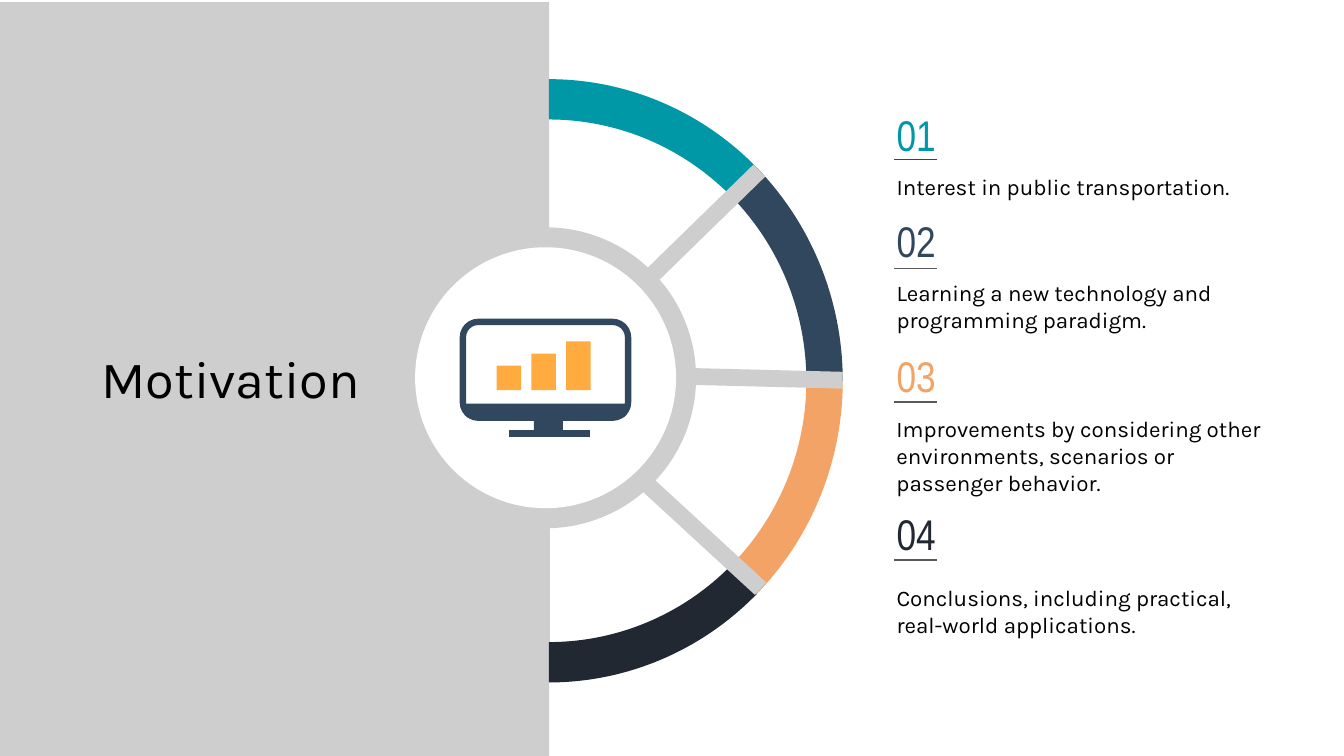
from math import cos, sin, tan, radians
from pptx import Presentation
from pptx.dml.color import RGBColor
from pptx.enum import shapes, text
from pptx.oxml.ns import qn
from pptx.util import Pt
from lxml import etree

GREY, NAVY, GOLD, WHITE = "CECECE", "30475E", "FFAB40", "FFFFFF"
KIND = shapes.MSO_SHAPE
MID = text.MSO_ANCHOR.MIDDLE
TOP = text.MSO_ANCHOR.TOP

ITEMS = [
    ("01", "0097A7", "434343", 58.2, 85.5, 85.7, 226, 28,
     "Interest in public transportation."),
    ("02", NAVY, "595959", 114.8, 143.8, 142.6, 190, 42,
     "Learning a new technology and programming paradigm."),
    ("03", "F2A365", "595959", 187.2, 215.4, 215.3, 211, 59,
     "Improvements by considering other environments, scenarios or passenger behavior."),
    ("04", "222831", "595959", 271.9, 300, 305.7, 207, 37.5,
     "Conclusions, including practical, real-world applications."),
]
SPOKES = [
    (349.9, 146.9, 406.8, 91.4),
    (367.2, 201.6, 451.4, 203.7),
    (344.9, 257.8, 407.5, 315.4),
]
EDGES = [(294.5, 362.2, 294.5, 281.5), (293.8, 125.3, 293.8, 42.5)]
HUB = (292.3, 202.4)
RING = (294, 204)
OUTER, INNER = (157.5, 161.6), (138, 140)
BARS = [13.1, 19.6, 26.1]
FLOOR = 209

prs = Presentation()
prs.slide_width, prs.slide_height = Pt(720), Pt(405)
slide = prs.slides.add_slide(prs.slide_layouts[6])
board = slide.shapes


def color(code):
    return RGBColor.from_string(code)


def paint(shape, fill):
    shape.shadow.inherit = False
    shape.fill.solid()
    shape.fill.fore_color.rgb = color(fill)
    shape.line.fill.background()
    return shape


def block(kind, x, y, w, h, fill):
    return paint(board.add_shape(kind, Pt(x), Pt(y), Pt(w), Pt(h)), fill)


def disk(radius, fill):
    x, y = HUB
    block(KIND.OVAL, x - radius, y - radius, 2 * radius, 2 * radius, fill)


def rule(ends, code, width):
    line = board.add_connector(shapes.MSO_CONNECTOR.STRAIGHT, *map(Pt, ends))
    line.line.color.rgb = color(code)
    line.line.width = Pt(width)
    etree.SubElement(line._element.spPr, qn("a:effectLst"))


def label(words, x, y, w, h, anchor, align, **style):
    frame = board.add_textbox(Pt(x), Pt(y), Pt(w), Pt(h)).text_frame
    form = {"word_wrap": True, "vertical_anchor": anchor}
    for side in ("left", "right", "top", "bottom"):
        form["margin_" + side] = Pt(7.2)
    for key, value in form.items():
        setattr(frame, key, value)
    para = frame.paragraphs[0]
    para.alignment = align
    run = para.add_run()
    run.text = words
    run.font.color.rgb = color(style.pop("code"))
    for key, value in style.items():
        setattr(run.font, key, value)


def curve(radii, start, end):
    pull = 4 / 3 * tan(radians(end - start) / 4)
    a, b = radians(start), radians(end)
    unit = [(sin(a), cos(a)),
            (sin(a) + pull * cos(a), cos(a) - pull * sin(a)),
            (sin(b) - pull * cos(b), cos(b) + pull * sin(b)),
            (sin(b), cos(b))]
    return [(Pt(RING[0] + radii[0] * x), Pt(RING[1] - radii[1] * y))
            for x, y in unit]


def bend(first):
    for step in [first, first.getnext(), first.getnext().getnext()]:
        if step is first:
            step.tag = qn("a:cubicBezTo")
        else:
            first.append(step[0])
            step.getparent().remove(step)


def arc(start, fill):
    end = start + 45
    points = curve(OUTER, start, end) + curve(INNER, end, start)
    pen = board.build_freeform(*points[0], scale=1.0)
    pen.add_line_segments(points[1:], close=True)
    shape = paint(pen.convert_to_shape(), fill)
    steps = list(shape._element.iter(qn("a:lnTo")))
    for first in (steps[0], steps[4]):
        trio = etree.Element(qn("a:cubicBezTo"))
        first.addprevious(trio)
        at = steps.index(first)
        for step in steps[at:at + 3]:
            trio.append(step[0])
            step.getparent().remove(step)


def screen():
    frame = block(KIND.ROUNDED_RECTANGLE, 248, 172.5, 88.5, 51.3, WHITE)
    frame.adjustments[0] = 0.16
    frame.line.color.rgb = color(NAVY)
    frame.line.width = Pt(3.4)
    chin = block(KIND.ROUND_2_SAME_RECTANGLE, 248.4, 216.3, 87.8, 7.7, NAVY)
    chin.adjustments[0], chin.adjustments[1] = 0, 0.5
    block(KIND.RECTANGLE, 286, 217.4, 15.6, 15.2, NAVY)
    block(KIND.RECTANGLE, 272.8, 230.4, 43.3, 3.7, NAVY)
    for i, tall in enumerate(BARS):
        block(KIND.RECTANGLE, 266.1 + 18.6 * i, FLOOR - tall, 13.1, tall, GOLD)


LEFT, CENTER = text.PP_ALIGN.LEFT, text.PP_ALIGN.CENTER
block(KIND.RECTANGLE, 0, 1.2, 294.3, 404.6, GREY)
label("Motivation", 35.8, 104.9, 175.7, 195.1, MID, CENTER,
      size=Pt(28), name="Karla", code="000000")
for num, tint, ink, y, base, low, w, h, words in ITEMS:
    label(num, 473.2, y, 190, 28, MID, LEFT,
          size=Pt(23), name="Arial Narrow", code=tint)
    label(words, 473.2, low, w, h, TOP, LEFT,
          size=Pt(12), name="Karla", code="000000")
    rule((478.8, base, 501.9, base), ink, 0.75)

disk(80.6, GREY)
disk(69.9, WHITE)
screen()
for ends in EDGES:
    rule(ends, GREY, 0.81)
for i, item in enumerate(ITEMS):
    arc(45 * i, item[1])
for ends in SPOKES:
    rule(ends, GREY, 9)

prs.save("out.pptx")
